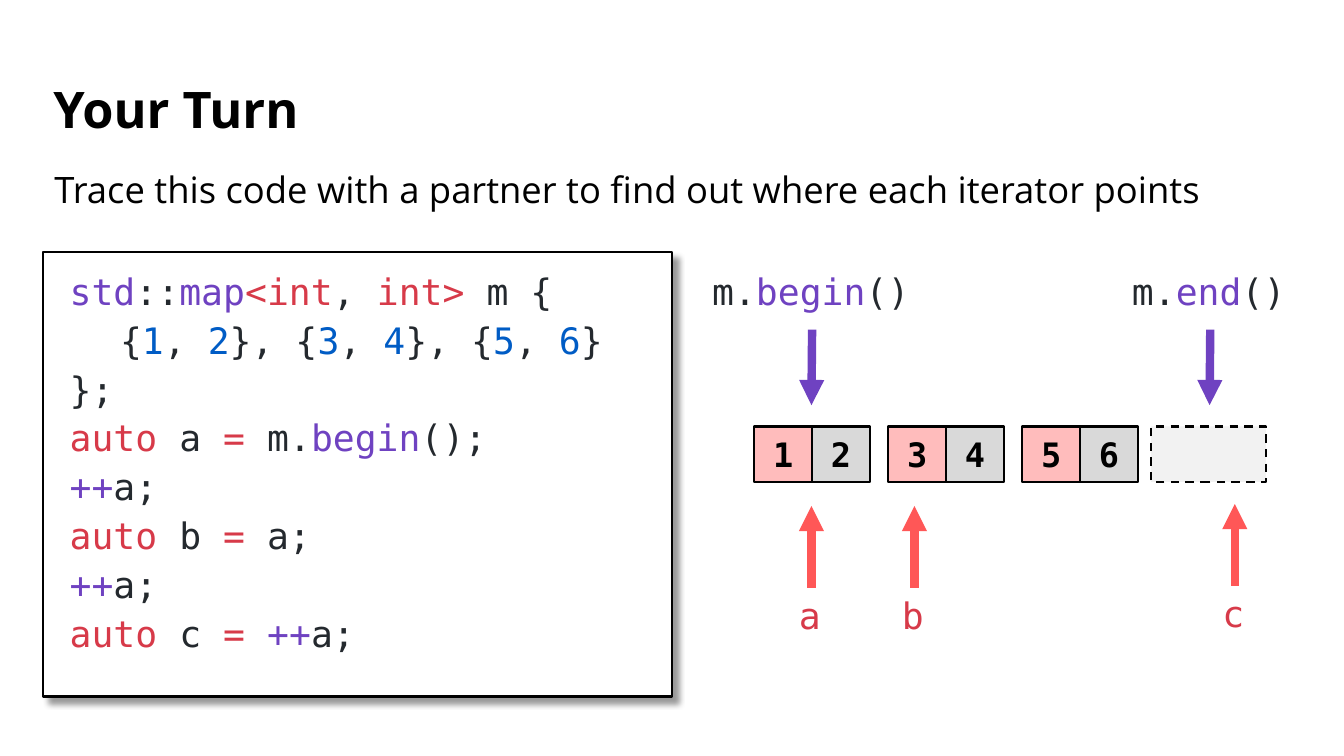
from dataclasses import dataclass

from lxml import etree
from pptx import Presentation
from pptx.dml.color import RGBColor
from pptx.enum.dml import MSO_LINE
from pptx.enum.shapes import MSO_CONNECTOR, MSO_SHAPE
from pptx.enum.text import MSO_ANCHOR, MSO_AUTO_SIZE, PP_ALIGN
from pptx.oxml.ns import qn
from pptx.shapes.base import BaseShape
from pptx.slide import Slide
from pptx.text.text import TextFrame, _Paragraph
from pptx.util import Pt

RECTANGLE, STRAIGHT, DASH = MSO_SHAPE.RECTANGLE, MSO_CONNECTOR.STRAIGHT, MSO_LINE.DASH
LEFT, CENTER = PP_ALIGN.LEFT, PP_ALIGN.CENTER
TOP, MIDDLE, NO_AUTOFIT = MSO_ANCHOR.TOP, MSO_ANCHOR.MIDDLE, MSO_AUTO_SIZE.NONE


@dataclass(frozen=True)
class Theme:
    sans: str = "Open Sans"
    mono: str = "DejaVu Sans Mono"
    title_size: float = 36
    text_size: float = 26
    cell_size: float = 24
    black: str = "000000"
    white: str = "FFFFFF"
    plain: str = "24292E"
    name: str = "6F42C1"
    keyword: str = "D73A49"
    number: str = "005CC5"
    iterator: str = "FF5757"
    key_fill: str = "FFBCBC"
    value_fill: str = "D9D9D9"
    end_fill: str = "F2F2F2"


THEME = Theme()


@dataclass(frozen=True)
class Token:
    text: str
    color: str = THEME.plain


@dataclass(frozen=True)
class Box:
    left: float
    top: float
    width: float
    height: float


@dataclass(frozen=True)
class Pointer:
    label: list[Token]
    label_box: Box
    start: tuple[float, float]
    end: tuple[float, float]
    color: str


def name(text: str) -> Token:
    return Token(text, THEME.name)


def keyword(text: str) -> Token:
    return Token(text, THEME.keyword)


def number(text: str) -> Token:
    return Token(text, THEME.number)


def pair_tokens(key: int, value: int) -> list[Token]:
    return [number(str(key)), Token(", "), number(str(value))]


PAIRS = [(1, 2), (3, 4), (5, 6)]
CODE = [
    [name("std"), Token("::"), name("map"), keyword("<int"), Token(", "),
     keyword("int>"), Token(" m {")],
    [Token("\t{"), *pair_tokens(*PAIRS[0]), Token("}, {"), *pair_tokens(*PAIRS[1]),
     Token("}, {"), *pair_tokens(*PAIRS[2]), Token("}")],
    [Token("};")],
    [keyword("auto"), Token(" a "), keyword("= "), Token("m."), name("begin"), Token("();")],
    [name("++"), Token("a;")],
    [keyword("auto"), Token(" b "), keyword("="), Token(" a;")],
    [name("++"), Token("a;")],
    [keyword("auto"), Token(" c "), keyword("= "), name("++"), Token("a;")],
]

# Cells of the map
PAIR_LEFT, PAIR_PITCH, CELL_TOP = 538.8, 95.7, 304.6
CELL_WIDTH, CELL_HEIGHT = 41.3, 39.6
END_CELL = Box(822.2, CELL_TOP, 82.1, CELL_HEIGHT)


def range_pointer(method: str, left: float, x: float) -> Pointer:
    return Pointer([Token("m."), name(method), Token("()")], Box(left, 188.6, 193.6, 38.9),
                   (x + 0.5, 235.4), (x, 289.4), THEME.name)


def iterator_pointer(label: str, x: float, tip: float) -> Pointer:
    tail = tip + 58.4
    return Pointer([keyword(label)], Box(x - 27, tail + 0.6, 51.8, 38.9),
                   (x, tail), (x, tip), THEME.iterator)


POINTERS = [
    range_pointer("begin", 482.4, 579.6),
    range_pointer("end", 766.6, 864),
    iterator_pointer("a", 579.6, 361.4),
    iterator_pointer("b", 653.2, 361.4),
    iterator_pointer("c", 882, 360),
]


def rgb(color: str) -> RGBColor:
    return RGBColor.from_string(color)


def place(shape: BaseShape, box: Box) -> None:
    shape.left, shape.top = Pt(box.left), Pt(box.top)
    shape.width, shape.height = Pt(box.width), Pt(box.height)


def set_font(paragraph: _Paragraph, face: str, size: float, bold: bool = False,
             color: str | None = None) -> None:
    font = paragraph.font
    font.name, font.size, font.bold = face, Pt(size), bold
    if color:
        font.color.rgb = rgb(color)


def add_tokens(paragraph: _Paragraph, tokens: list[Token]) -> None:
    for token in tokens:
        run = paragraph.add_run()
        run.text = token.text
        run.font.color.rgb = rgb(token.color)


def format_frame(frame: TextFrame, anchor: MSO_ANCHOR) -> None:
    frame.word_wrap, frame.auto_size, frame.vertical_anchor = True, NO_AUTOFIT, anchor


def format_body_paragraph(paragraph: _Paragraph, space_before: float) -> None:
    properties = paragraph._p.get_or_add_pPr()
    properties.set("marL", str(Pt(0.7)))
    properties.set("indent", "0")
    etree.SubElement(properties, qn("a:buNone"))
    tabs = etree.SubElement(properties, qn("a:tabLst"))
    etree.SubElement(tabs, qn("a:tab"), pos=str(Pt(36)), algn="l")
    paragraph.line_spacing, paragraph.space_before = 0.8, Pt(space_before)


def add_shadow(shape: BaseShape) -> None:
    effects = etree.SubElement(shape._element.spPr, qn("a:effectLst"))
    shadow = etree.SubElement(effects, qn("a:outerShdw"), blurRad=str(Pt(4)), dist=str(Pt(6)),
                              dir=str(45 * 60000), algn="tl", rotWithShape="0")
    color = etree.SubElement(shadow, qn("a:srgbClr"), val=THEME.black)
    etree.SubElement(color, qn("a:alpha"), val="40000")


def paint(shape: BaseShape, fill: str) -> None:
    shape.fill.solid()
    shape.fill.fore_color.rgb = rgb(fill)
    shape.line.color.rgb, shape.line.width = rgb(THEME.black), Pt(1.5)


def add_cell(slide: Slide, box: Box, fill: str, text: str = "") -> BaseShape:
    cell = slide.shapes.add_shape(RECTANGLE, Pt(box.left), Pt(box.top), Pt(box.width), Pt(box.height))
    cell.shadow.inherit = False
    paint(cell, fill)
    if text:
        format_frame(cell.text_frame, MIDDLE)
        paragraph = cell.text_frame.paragraphs[0]
        paragraph.text, paragraph.alignment = text, CENTER
        set_font(paragraph, THEME.mono, THEME.cell_size, True, THEME.black)
    return cell


def add_pointer(slide: Slide, pointer: Pointer) -> None:
    box = pointer.label_box
    label = slide.shapes.add_textbox(Pt(box.left), Pt(box.top), Pt(box.width), Pt(box.height))
    format_frame(label.text_frame, TOP)
    paragraph = label.text_frame.paragraphs[0]
    paragraph.alignment = CENTER
    set_font(paragraph, THEME.mono, THEME.text_size)
    add_tokens(paragraph, pointer.label)

    arrow = slide.shapes.add_connector(STRAIGHT, *map(Pt, pointer.start + pointer.end))
    arrow.line.color.rgb, arrow.line.width = rgb(pointer.color), Pt(6)
    etree.SubElement(arrow.line._get_or_add_ln(), qn("a:tailEnd"), type="triangle")
    etree.SubElement(arrow._element.spPr, qn("a:effectLst"))


def main() -> None:
    deck = Presentation()
    deck.slide_width, deck.slide_height = Pt(960), Pt(540)
    slide = deck.slides.add_slide(deck.slide_layouts[3])
    title, code, task = slide.placeholders

    # Title and task
    place(title, Box(31, 49.7, 897.8, 60.5))
    format_frame(title.text_frame, MIDDLE)
    heading = title.text_frame.paragraphs[0]
    heading.text, heading.alignment, heading.line_spacing = "Your Turn", LEFT, 0.9
    set_font(heading, THEME.sans, THEME.title_size, True, THEME.black)

    place(task, Box(31, 121.7, 897.8, 33.8))
    format_frame(task.text_frame, TOP)
    instruction = task.text_frame.paragraphs[0]
    instruction.text = "Trace this code with a partner to find out where each iterator points"
    format_body_paragraph(instruction, 0)
    set_font(instruction, THEME.sans, THEME.text_size, color=THEME.black)

    # Code panel
    place(code, Box(31, 180, 449.3, 317.5))
    paint(code, THEME.white)
    add_shadow(code)
    listing = code.text_frame
    format_frame(listing, TOP)
    listing.margin_left = listing.margin_top = listing.margin_right = listing.margin_bottom = Pt(18)
    for index, tokens in enumerate(CODE):
        line = listing.add_paragraph() if index else listing.paragraphs[0]
        format_body_paragraph(line, 10 if index else 0)
        set_font(line, THEME.mono, THEME.text_size)
        add_tokens(line, tokens)

    # Map contents and the place past the end
    for index, pair in enumerate(PAIRS):
        for column, (entry, fill) in enumerate(zip(pair, (THEME.key_fill, THEME.value_fill))):
            left = PAIR_LEFT + index * PAIR_PITCH + column * CELL_WIDTH
            add_cell(slide, Box(left, CELL_TOP, CELL_WIDTH, CELL_HEIGHT), fill, str(entry))
    add_cell(slide, END_CELL, THEME.end_fill).line.dash_style = DASH

    # Iterators
    for pointer in POINTERS:
        add_pointer(slide, pointer)

    deck.save("out.pptx")


if __name__ == "__main__":
    main()
